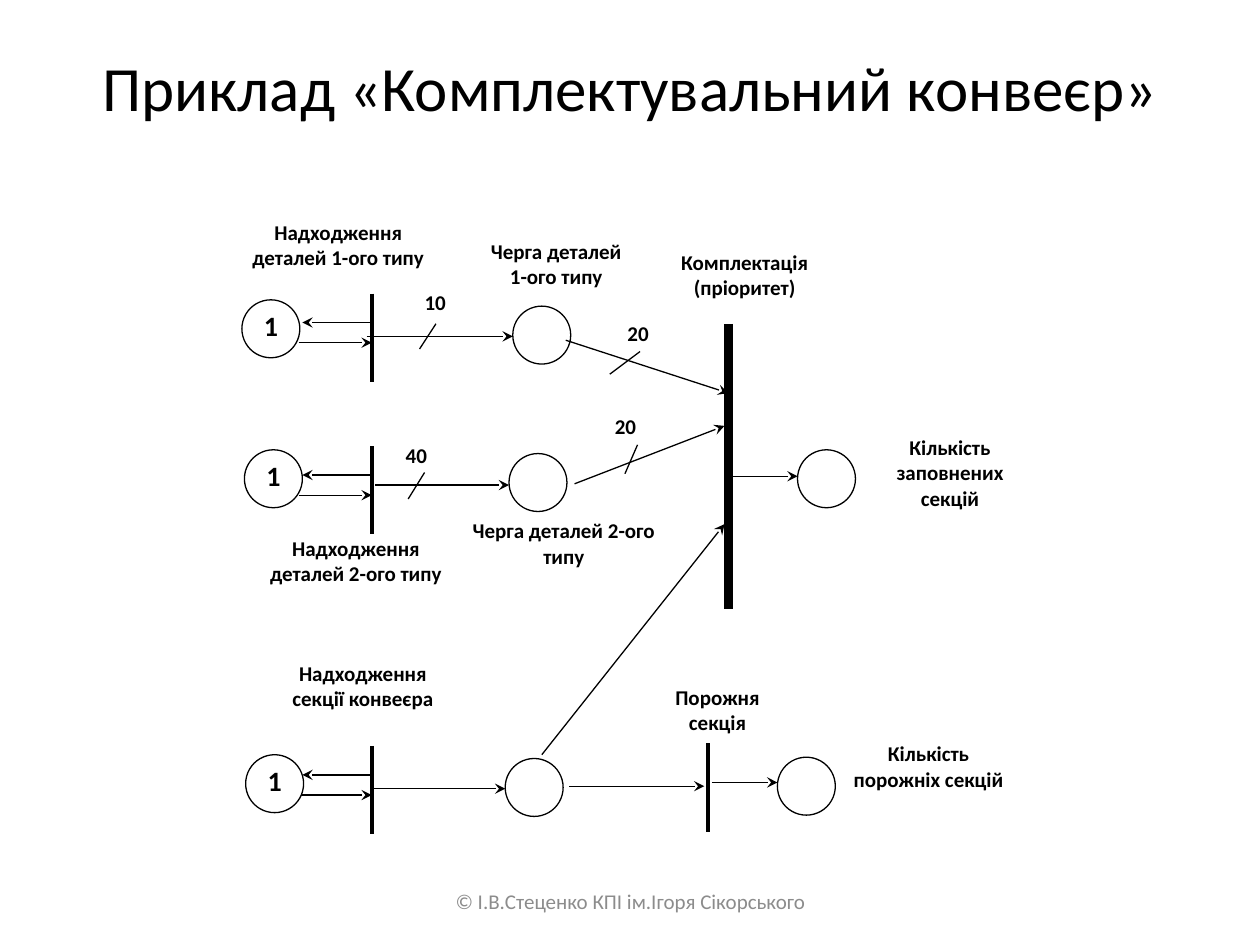
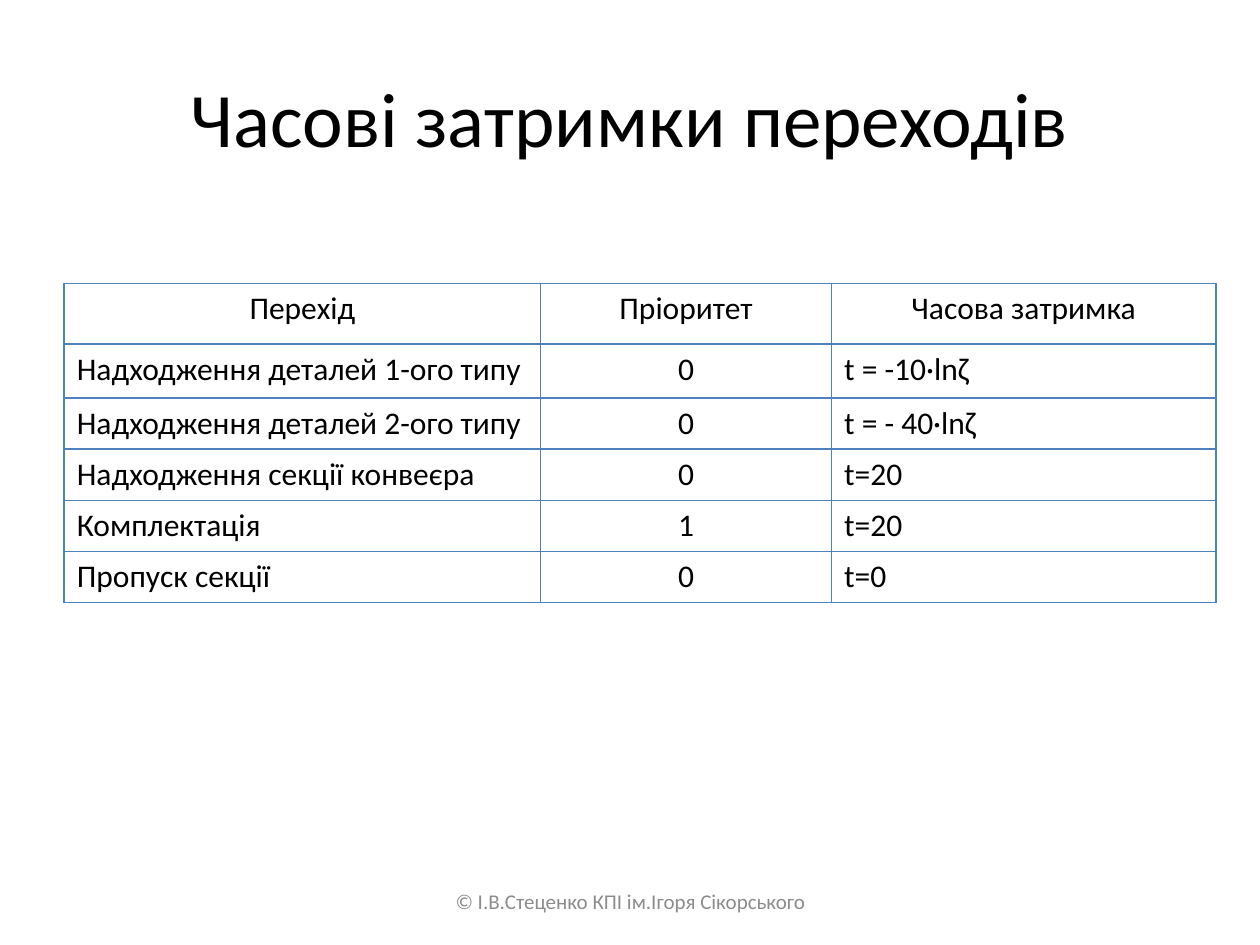
import dataclasses

import pptx
import pptx.dml.color
import pptx.enum.shapes
import pptx.enum.text
import pptx.oxml
import pptx.oxml.ns
import pptx.util

PX = 9144
FONT = "Calibri"
BLACK = pptx.dml.color.RGBColor(0x00, 0x00, 0x00)
WHITE = pptx.dml.color.RGBColor(0xFF, 0xFF, 0xFF)
GRAY = pptx.dml.color.RGBColor(0x8C, 0x8C, 0x8C)
BLUE = pptx.dml.color.RGBColor(0x4F, 0x81, 0xBD)
SHAPE = pptx.enum.shapes.MSO_SHAPE
ALIGN = pptx.enum.text.PP_ALIGN
ANCHOR = pptx.enum.text.MSO_ANCHOR
PLACE_SIZE = 46
BAR_HEIGHT = 70
FOOTER = "© І.В.Стеценко КПІ ім.Ігоря Сікорського"


@dataclasses.dataclass
class Arrival:
    origin: tuple
    place: tuple
    label: str
    label_box: tuple
    out: tuple
    queue: tuple
    queue_label: str = ""
    queue_label_box: tuple = ()
    weight: str = ""
    weight_at: tuple = ()
    slash: tuple = ()


ARRIVALS = [
    Arrival((192, 233), (0, 5), "Надходження деталей 1-ого типу", (0, -59, 153, 48),
            (99, 34, 215, 34), (215, 10), "Черга деталей 1-ого типу", (193, -44, 113, 46),
            "10", (145, -3), (154, 24, 141, 44)),
    Arrival((192, 354), (2, 3), "Надходження деталей 2-ого типу", (11, 71, 159, 50),
            (106, 31, 212, 31), (212, 6), "Черга деталей 2-ого типу", (183, 57, 145, 41),
            "40", (130, -3), (145, 21, 132, 42)),
    Arrival((192, 592), (3, 7), "Надходження секції конвеєра", (25, -68, 142, 62),
            (103, 34, 209, 34), (209, 10)),
]

DELAYS = [
    ("Перехід", "Пріоритет", "Часова затримка"),
    ("Надходження деталей 1-ого типу", "0", "t = -10·lnζ"),
    ("Надходження деталей 2-ого типу", "0", "t = - 40·lnζ"),
    ("Надходження секції конвеєра", "0", "t=20"),
    ("Комплектація", "1", "t=20"),
    ("Пропуск секції", "0", "t=0"),
]


def emu(*lengths):
    return [length * PX for length in lengths]


def shift(origin, x, y):
    return origin[0] + x, origin[1] + y


def set_text(tf, text, size, color=BLACK, bold=False, align=ALIGN.CENTER):
    tf.text = text
    for p in tf.paragraphs:
        p.alignment = align
        p.font.name = FONT
        p.font.size = pptx.util.Pt(size)
        p.font.bold = bold
        p.font.color.rgb = color


def add_node(slide, kind, origin, box, line_color, text, size, align=ALIGN.CENTER):
    x, y, w, h = box
    sp = slide.shapes.add_shape(kind, *emu(*shift(origin, x, y), w, h))
    sp.shadow.inherit = False
    sp.fill.solid()
    sp.fill.fore_color.rgb = WHITE
    sp.line.color.rgb = line_color
    sp.line.width = pptx.util.Pt(0.75)
    tf = sp.text_frame
    tf.word_wrap = True
    tf.vertical_anchor = ANCHOR.TOP
    tf.margin_left = tf.margin_top = tf.margin_right = tf.margin_bottom = 0
    if text:
        set_text(tf, text, size, bold=True, align=align)


def add_label(slide, origin, box, text, align=ALIGN.CENTER):
    add_node(slide, SHAPE.RECTANGLE, origin, box, WHITE, text, 12, align)


def add_weight(slide, origin, at, text):
    add_label(slide, origin, (*at, 35, 32), text, ALIGN.LEFT)


def add_place(slide, origin, at, tokens=""):
    add_node(slide, SHAPE.OVAL, origin, (*at, PLACE_SIZE, PLACE_SIZE), BLACK, tokens, 16)


def add_line(slide, origin, ends, width=0.75, arrow=False):
    x1, y1, x2, y2 = ends
    cx = slide.shapes.add_connector(
        pptx.enum.shapes.MSO_CONNECTOR.STRAIGHT,
        *emu(*shift(origin, x1, y1), *shift(origin, x2, y2)))
    cx.line.color.rgb = BLACK
    cx.line.width = pptx.util.Pt(width)
    if arrow:
        tail = pptx.oxml.parse_xml(
            f'<a:tailEnd {pptx.oxml.ns.nsdecls("a")} type="stealth"/>')
        cx.line._get_or_add_ln().append(tail)
    cx._element.spPr.append(
        pptx.oxml.parse_xml(f'<a:effectLst {pptx.oxml.ns.nsdecls("a")}/>'))


def add_arrow(slide, origin, ends):
    add_line(slide, origin, ends, arrow=True)


def add_bar(slide, origin, x, y, height=BAR_HEIGHT, width=2.25):
    add_line(slide, origin, (x, y, x, y + height), width)


def add_arrival(slide, arrival):
    origin = arrival.origin
    add_label(slide, origin, arrival.label_box, arrival.label)
    if arrival.weight:
        add_label(slide, origin, arrival.queue_label_box, arrival.queue_label)
        add_weight(slide, origin, arrival.weight_at, arrival.weight)
        add_line(slide, origin, arrival.slash)
    add_place(slide, origin, arrival.queue)
    add_arrow(slide, origin, arrival.out)
    add_bar(slide, origin, 103, 0)
    add_arrow(slide, origin, (45, 39, 103, 39))
    add_arrow(slide, origin, (103, 23, 48, 23))
    add_place(slide, origin, arrival.place, "1")


def add_assembly(slide, origin):
    add_label(slide, origin, (100, 0, 122, 49), "Комплектація\n(пріоритет)")
    add_label(slide, origin, (258, 147, 132, 64), "Кількість заповнених секцій")
    for at in ((68, 56), (58, 130)):
        add_weight(slide, origin, at, "20")
    add_bar(slide, origin, 148, 59, height=226, width=5)
    for ends in ((19, 72, 148, 114), (26, 186, 145, 140),
                 (0, 401, 145, 218), (151, 180, 203, 180)):
        add_arrow(slide, origin, ends)
    for ends in ((78, 81, 54, 99), (66, 178, 76, 155)):
        add_line(slide, origin, ends)
    add_place(slide, origin, (203, 159))


def add_empty_section(slide, origin):
    add_label(slide, origin, (71, 0, 93, 41), "Порожня секція")
    add_label(slide, origin, (219, 45, 132, 64), "Кількість порожніх секцій")
    add_arrow(slide, origin, (0, 81, 107, 81))
    add_bar(slide, origin, 110, 47)
    add_arrow(slide, origin, (113, 78, 165, 78))
    add_place(slide, origin, (165, 58))


def set_borders(cell):
    tcPr = cell._tc.get_or_add_tcPr()
    for i, side in enumerate(("lnL", "lnR", "lnT", "lnB")):
        tcPr.insert(i, pptx.oxml.parse_xml(
            f'<a:{side} {pptx.oxml.ns.nsdecls("a")} w="12700"><a:solidFill>'
            f'<a:srgbClr val="{BLUE}"/></a:solidFill></a:{side}>'))


def add_delay_table(slide, box):
    widths, heights = (378, 231, 305), (48, 43, 40, 40, 40, 40)
    table = slide.shapes.add_table(len(DELAYS), len(widths), *emu(*box)).table
    table.first_row = table.horz_banding = False
    for column, width in zip(table.columns, widths):
        column.width = width * PX
    for row, height in zip(table.rows, heights):
        row.height = height * PX
    for r, values in enumerate(DELAYS):
        for c, value in enumerate(values):
            cell = table.cell(r, c)
            cell.fill.solid()
            cell.fill.fore_color.rgb = WHITE
            align = ALIGN.CENTER if r == 0 or c == 1 else ALIGN.LEFT
            set_text(cell.text_frame, value, 18, align=align)
            set_borders(cell)


def add_slide(prs, title, size, title_box):
    slide = prs.slides.add_slide(prs.slide_layouts[5])
    sp = slide.shapes.title
    sp.left, sp.top, sp.width, sp.height = emu(*title_box)
    tf = sp.text_frame
    tf.auto_size = pptx.enum.text.MSO_AUTO_SIZE.NONE
    tf.vertical_anchor = ANCHOR.MIDDLE
    set_text(tf, title, size)
    return slide


def add_footer(slide, box):
    tf = slide.shapes.add_textbox(*emu(*box)).text_frame
    tf.word_wrap = True
    tf.vertical_anchor = ANCHOR.MIDDLE
    set_text(tf, FOOTER, 12, GRAY)


def main():
    prs = pptx.Presentation()
    prs.slide_width, prs.slide_height = emu(1000, 750)

    net = add_slide(prs, "Приклад «Комплектувальний конвеєр»", 36, (50, 30, 900, 77))
    for arrival in ARRIVALS:
        add_arrival(net, arrival)
    add_assembly(net, (430, 198))
    add_empty_section(net, (452, 543))

    delays = add_slide(prs, "Часові затримки переходів", 44, (50, 30, 900, 125))
    add_delay_table(delays, (51, 225, 914, 251))

    for slide in prs.slides:
        add_footer(slide, (342, 695, 317, 40))
    prs.save("out.pptx")


if __name__ == "__main__":
    main()
